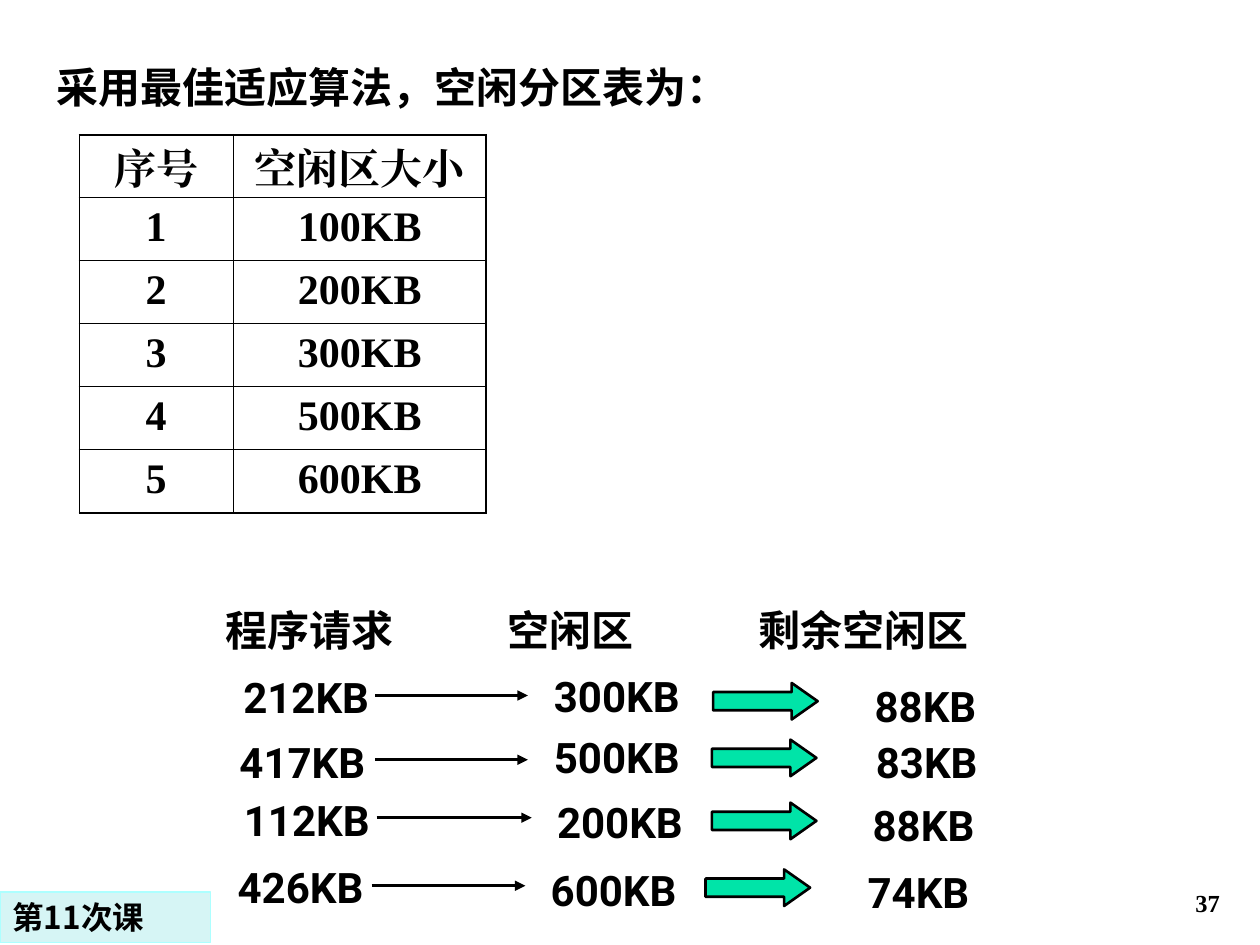
import pptx
import pptx.util
import pptx.oxml
import pptx.oxml.ns
import pptx.dml.color
import pptx.enum.text
import pptx.enum.shapes
import lxml.etree

Inches = pptx.util.Inches
Pt = pptx.util.Pt
RGBColor = pptx.dml.color.RGBColor
ALIGN = pptx.enum.text.PP_ALIGN
ANCHOR = pptx.enum.text.MSO_ANCHOR
SHAPE = pptx.enum.shapes.MSO_SHAPE
qn = pptx.oxml.ns.qn

BLACK = RGBColor(0, 0, 0)
GREEN = RGBColor(0x00, 0xE4, 0xA8)
PALE = RGBColor(0xD6, 0xF5, 0xF5)
CYAN = RGBColor(0xAD, 0xFF, 0xFF)


def write(frame, text, align=ALIGN.LEFT, size=24, face="Roboto", anchor=ANCHOR.TOP):
    look = {"word_wrap": True, "vertical_anchor": anchor,
            "auto_size": pptx.enum.text.MSO_AUTO_SIZE.NONE}
    for key, value in look.items():
        setattr(frame, key, value)
    para = frame.paragraphs[0]
    para.alignment = align
    run = para.add_run()
    run.text = text
    for key, value in {"size": Pt(size), "name": face, "bold": True}.items():
        setattr(run.font, key, value)
    run.font.color.rgb = BLACK
    east = lxml.etree.SubElement(run.font._element, qn("a:ea"))
    east.set("typeface", face)
    return para


def label(text, left, top, width, height=0.5, **style):
    box = slide.shapes.add_textbox(Inches(left), Inches(top), Inches(width), Inches(height))
    return write(box.text_frame, text, **style)


deck = pptx.Presentation()
deck.slide_width = Inches(10)
deck.slide_height = Inches(7.5)
slide = deck.slides.add_slide(deck.slide_layouts[5])

title = slide.shapes.title
place = {"left": 0.35, "top": 0.44, "width": 7.21, "height": 0.5}
for key, value in place.items():
    setattr(title, key, Inches(value))
write(title.text_frame, "采用最佳适应算法，空闲分区表为：")

rows = [("序号", "空闲区大小"), ("1", "100KB"), ("2", "200KB"),
        ("3", "300KB"), ("4", "500KB"), ("5", "600KB")]
table = slide.shapes.add_table(len(rows), 2, Inches(0.63), Inches(1.07),
                               Inches(3.23), Inches(3)).table
table.first_row = False
table.horz_banding = False
for col, width in zip(table.columns, (1.22, 2.01)):
    col.width = Inches(width)
for i, row in enumerate(rows):
    table.rows[i].height = Inches(0.5)
    for j, text in enumerate(row):
        cell = table.cell(i, j)
        cell.margin_top = Inches(0.05 if i else 0.1)
        cell.margin_bottom = 0
        para = cell.text_frame.paragraphs[0]
        write(cell.text_frame, text, ALIGN.CENTER, face="Times New Roman")
        props = cell._tc.get_or_add_tcPr()
        edges = {"L": j == 0, "R": j == 1, "T": i == 0, "B": i == len(rows) - 1}
        for side, outer in edges.items():
            line = lxml.etree.SubElement(props, qn("a:ln" + side))
            line.set("w", str(Pt(1.08 if outer else 0.45)))
            fill = lxml.etree.SubElement(line, qn("a:solidFill"))
            lxml.etree.SubElement(fill, qn("a:srgbClr")).set("val", str(BLACK))
        cell.fill.background()

heads = label("程序请求\t空闲区\t剩余空闲区", 1.69, 4.75, 7.29)
tabs = lxml.etree.SubElement(heads._p.get_or_add_pPr(), qn("a:tabLst"))
for stop in (2.24, 4.23):
    tab = lxml.etree.SubElement(tabs, qn("a:tab"))
    tab.set("pos", str(Inches(stop)))
    tab.set("algn", "l")

flows = [
    (("212KB", 1.72, 5.28, 1.42), (2.98, 4.19, 5.52), ("300KB", 4.13, 5.27, 1.53),
     (5.66, 5.42), ("88KB", 6.67, 5.35, 1.35)),
    (("417KB", 1.7, 5.8, 1.4), (2.98, 4.19, 6.03), ("500KB", 4.23, 5.76, 1.33),
     (5.65, 5.87), ("83KB", 6.7, 5.8, 1.31)),
    (("112KB", 1.72, 6.26, 1.43), (2.99, 4.22, 6.49), ("200KB", 4.22, 6.27, 1.4),
     (5.65, 6.37), ("88KB", 6.63, 6.3, 1.4)),
    (("426KB", 1.67, 6.79, 1.43), (2.95, 4.17, 7.03), ("600KB", 4.17, 6.81, 1.4),
     (5.6, 6.9), ("74KB", 6.59, 6.83, 1.4)),
]
for need, (start, end, mid), free, (left, top), rest in flows:
    for item in (need, free, rest):
        label(*item, align=ALIGN.CENTER)
    link = slide.shapes.add_connector(pptx.enum.shapes.MSO_CONNECTOR.STRAIGHT,
                                      Inches(start), Inches(mid), Inches(end), Inches(mid))
    link.line.color.rgb = BLACK
    link.line.width = Pt(1.5)
    head = lxml.etree.SubElement(link.line._get_or_add_ln(), qn("a:tailEnd"))
    head.set("type", "triangle")
    lxml.etree.SubElement(link._element.spPr, qn("a:effectLst"))
    block = slide.shapes.add_shape(SHAPE.RIGHT_ARROW, Inches(left), Inches(top),
                                   Inches(0.83), Inches(0.29))
    block.adjustments[1] = 0.71
    block.shadow.inherit = False
    block.fill.solid()
    block.fill.fore_color.rgb = GREEN
    block.line.color.rgb = BLACK
    block.line.width = Pt(1.5)

badge = slide.shapes.add_shape(SHAPE.RECTANGLE, 0, Inches(7.08), Inches(1.67), Inches(0.4))
badge.shadow.inherit = False
badge.fill.solid()
badge.fill.fore_color.rgb = PALE
badge.line.color.rgb = CYAN
badge.line.width = Pt(0.75)
write(badge.text_frame, "第11次课", size=18, face="Noto Sans CJK SC", anchor=ANCHOR.MIDDLE)

label("37", 7.7, 6.83, 2.08, align=ALIGN.RIGHT, size=14,
      face="Times New Roman", anchor=ANCHOR.BOTTOM)

deck.save("out.pptx")
